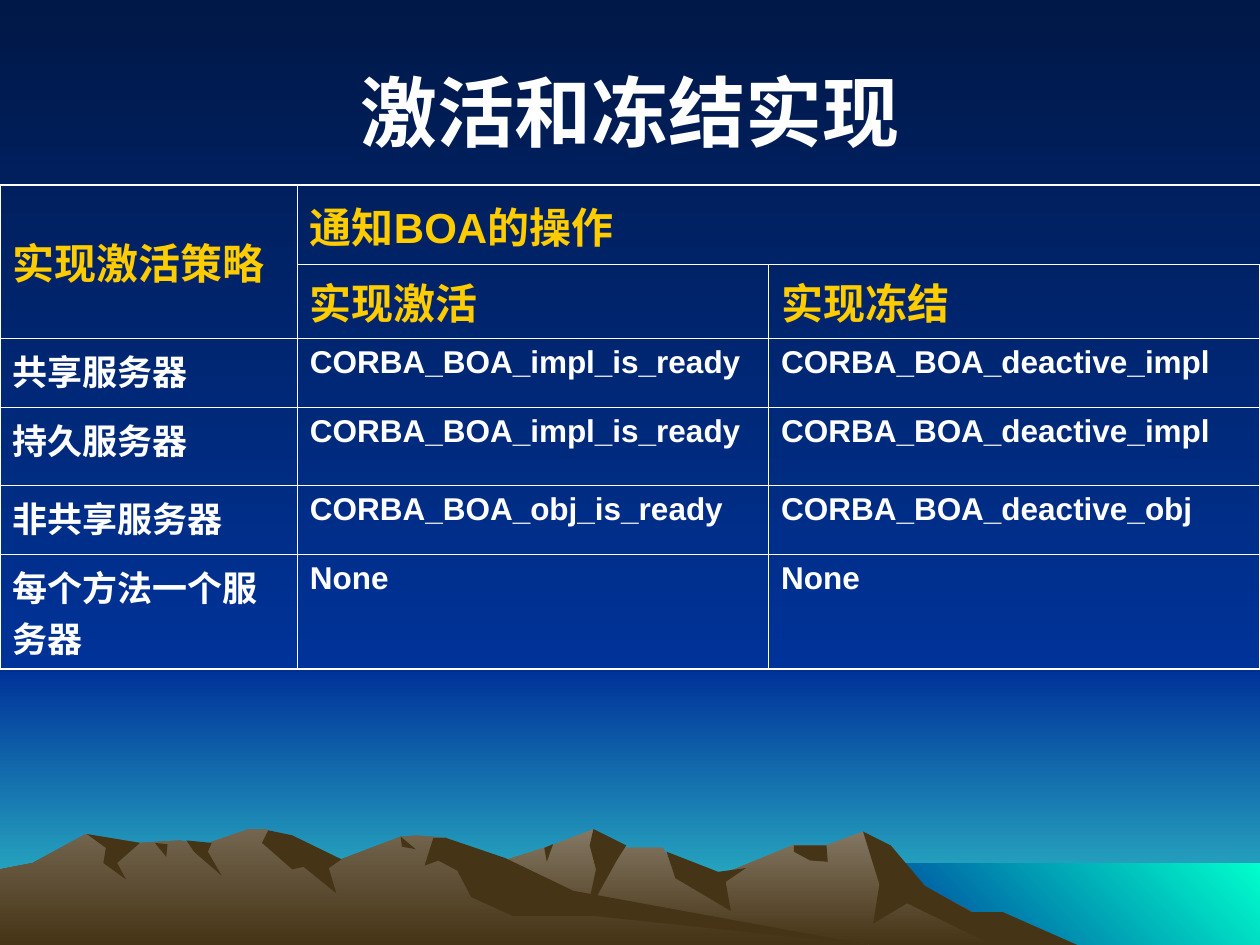
from dataclasses import dataclass

from pptx import Presentation
from pptx.dml.color import RGBColor
from pptx.enum.text import MSO_ANCHOR as Anchor, PP_ALIGN as Align
from pptx.enum.shapes import MSO_SHAPE as Preset
from pptx.oxml import parse_xml
from pptx.oxml.ns import nsdecls
from pptx.util import Inches, Pt

COLORS = {
    "night": "001847", "blue": "003399", "horizon": "33CCCC", "sea": "00FFCC",
    "far_rock": "847864", "near_rock": "73654F", "shade": "463416",
    "white": "FFFFFF", "gold": "FFCC00",
}
FONT = "Arial"
UNIT = Inches(0.01)  # mountain points are in hundredths of an inch
OUTER, INNER = Pt(1.08), Pt(0.45)


@dataclass
class Band:
    left: float
    top: float
    width: float
    height: float
    start: str
    end: str
    angle: int = 270


@dataclass
class Ridge:
    points: list[tuple[int, int]]
    light: str = ""  # empty for a plain shaded face


@dataclass
class TextStyle:
    size: int
    color: str
    anchor: Anchor


BANDS = [
    Band(0, 5.33, 10, 2.17, "blue", "horizon"),
    Band(0, 0, 10, 5.33, "night", "blue"),
    Band(6.83, 6.85, 3.17, 0.65, "blue", "sea", 45),
]

RIDGES = [
    # Far range and its shaded faces
    Ridge([(820, 750), (723, 698), (685, 660), (656, 671), (629, 671), (566, 697),
           (536, 690), (526, 673), (486, 673), (471, 658), (438, 671), (394, 685),
           (258, 750)], "far_rock"),
    Ridge([(855, 750), (796, 724), (771, 724), (734, 703), (707, 671), (685, 660),
           (698, 702), (693, 733), (720, 717), (788, 750)]),
    Ridge([(471, 658), (468, 671), (473, 690), (465, 727), (490, 682), (497, 671)]),
    Ridge([(529, 676), (536, 697), (580, 723), (576, 700), (592, 689), (570, 692)]),
    Ridge([(630, 671), (630, 676), (643, 683), (657, 684), (656, 671)]),
    Ridge([(432, 673), (439, 670), (434, 684)]),
    # Near range and its shaded faces
    Ridge([(690, 750), (432, 712), (354, 665), (331, 663), (318, 664), (271, 682),
           (236, 681), (212, 658), (197, 658), (160, 671), (143, 667), (111, 669),
           (68, 662), (26, 685), (0, 690), (0, 750)], "near_rock"),
    Ridge([(213, 659), (208, 669), (232, 690), (241, 688), (267, 709), (261, 689),
           (271, 682), (232, 663)]),
    Ridge([(344, 665), (337, 687), (348, 683), (363, 691), (374, 712), (407, 727),
           (472, 727), (690, 750), (455, 707), (401, 681), (354, 665)]),
    Ridge([(318, 664), (330, 674), (319, 672)]),
    Ridge([(148, 667), (168, 669), (165, 676), (176, 695), (154, 676)]),
    Ridge([(123, 669), (133, 670), (132, 680)]),
    Ridge([(69, 662), (111, 669), (93, 685), (100, 698), (82, 685), (84, 673)]),
]

HEADER = TextStyle(24, "gold", Anchor.MIDDLE)
SERVER = TextStyle(20, "white", Anchor.TOP)
OPERATION = TextStyle(18, "white", Anchor.TOP)

COLUMN_WIDTHS = [2.36, 3.74, 3.9]
ROW_HEIGHTS = [0.63, 0.55, 0.55, 0.62, 0.55, 0.77]
HEADER_ROWS = 2
ROWS = [
    ["实现激活策略", "通知BOA的操作", ""],
    ["", "实现激活", "实现冻结"],
    ["共享服务器", "CORBA_BOA_impl_is_ready", "CORBA_BOA_deactive_impl"],
    ["持久服务器", "CORBA_BOA_impl_is_ready", "CORBA_BOA_deactive_impl"],
    ["非共享服务器", "CORBA_BOA_obj_is_ready", "CORBA_BOA_deactive_obj"],
    ["每个方法一个服务器", "None", "None"],
]


def rgb(name: str) -> RGBColor:
    return RGBColor.from_string(COLORS[name])


def fill_gradient(fill, start: str, end: str, angle: int = 270) -> None:
    fill.gradient()
    fill.gradient_angle = angle
    for stop, name in zip(fill.gradient_stops, (start, end)):
        stop.color.rgb = rgb(name)


def draw_band(page, band: Band) -> None:
    box = page.shapes.add_shape(Preset.RECTANGLE, Inches(band.left), Inches(band.top),
                                Inches(band.width), Inches(band.height))
    box.shadow.inherit = False
    box.line.fill.background()
    fill_gradient(box.fill, band.start, band.end, band.angle)


def draw_ridge(page, ridge: Ridge) -> None:
    builder = page.shapes.build_freeform(*ridge.points[0], scale=UNIT)
    builder.add_line_segments(ridge.points[1:], close=True)
    rock = builder.convert_to_shape()
    rock.shadow.inherit = False
    rock.line.fill.background()
    if ridge.light:
        fill_gradient(rock.fill, ridge.light, "shade")
    else:
        rock.fill.solid()
        rock.fill.fore_color.rgb = rgb("shade")


def add_span(para, text: str, size: int, color: str) -> None:
    span = para.add_run()
    span.text = text
    span.font.name = FONT
    span.font.size = Pt(size)
    span.font.bold = True
    span.font.color.rgb = rgb(color)


def set_borders(cell, row: int, column: int) -> None:
    at_edge = {"L": column == 0, "R": column == len(COLUMN_WIDTHS) - 1,
               "T": row == 0, "B": row == len(ROWS) - 1}
    properties = cell._tc.get_or_add_tcPr()
    for side, outer in at_edge.items():
        properties.append(parse_xml(
            f'<a:ln{side} {nsdecls("a")} w="{OUTER if outer else INNER}"><a:solidFill>'
            f'<a:srgbClr val="{COLORS["white"]}"/></a:solidFill></a:ln{side}>'))


def draw_table(page) -> None:
    frame = page.shapes.add_table(len(ROWS), len(COLUMN_WIDTHS), 0, Inches(1.47),
                                  Inches(sum(COLUMN_WIDTHS)), Inches(sum(ROW_HEIGHTS)))
    table = frame.table
    table.first_row = table.horz_banding = False
    for column, width in zip(table.columns, COLUMN_WIDTHS):
        column.width = Inches(width)
    for row, height in zip(table.rows, ROW_HEIGHTS):
        row.height = Inches(height)
    table.cell(0, 0).merge(table.cell(1, 0))
    table.cell(0, 1).merge(table.cell(0, 2))

    for r, texts in enumerate(ROWS):
        for c, text in enumerate(texts):
            cell = table.cell(r, c)
            set_borders(cell, r, c)
            cell.fill.background()
            if text:
                style = HEADER if r < HEADER_ROWS else OPERATION if c else SERVER
                cell.vertical_anchor = style.anchor
                add_span(cell.text_frame.paragraphs[0], text, style.size, style.color)


def main() -> None:
    deck = Presentation()
    deck.slide_width, deck.slide_height = Inches(10), Inches(7.5)
    page = deck.slides.add_slide(deck.slide_layouts[5])

    # Landscape
    fill_gradient(page.background.fill, "night", "blue")
    for band in BANDS:
        draw_band(page, band)
    for ridge in RIDGES:
        draw_ridge(page, ridge)

    # Title, raised above the landscape
    title = page.shapes.title
    title.element.getparent().append(title.element)
    title.left, title.top = Inches(0.5), Inches(0.25)
    title.width, title.height = Inches(9), Inches(1.25)
    title.text_frame.vertical_anchor = Anchor.MIDDLE
    para = title.text_frame.paragraphs[0]
    para.alignment = Align.CENTER
    add_span(para, "激活和冻结实现", 44, "white")

    draw_table(page)
    deck.save("out.pptx")


if __name__ == "__main__":
    main()
